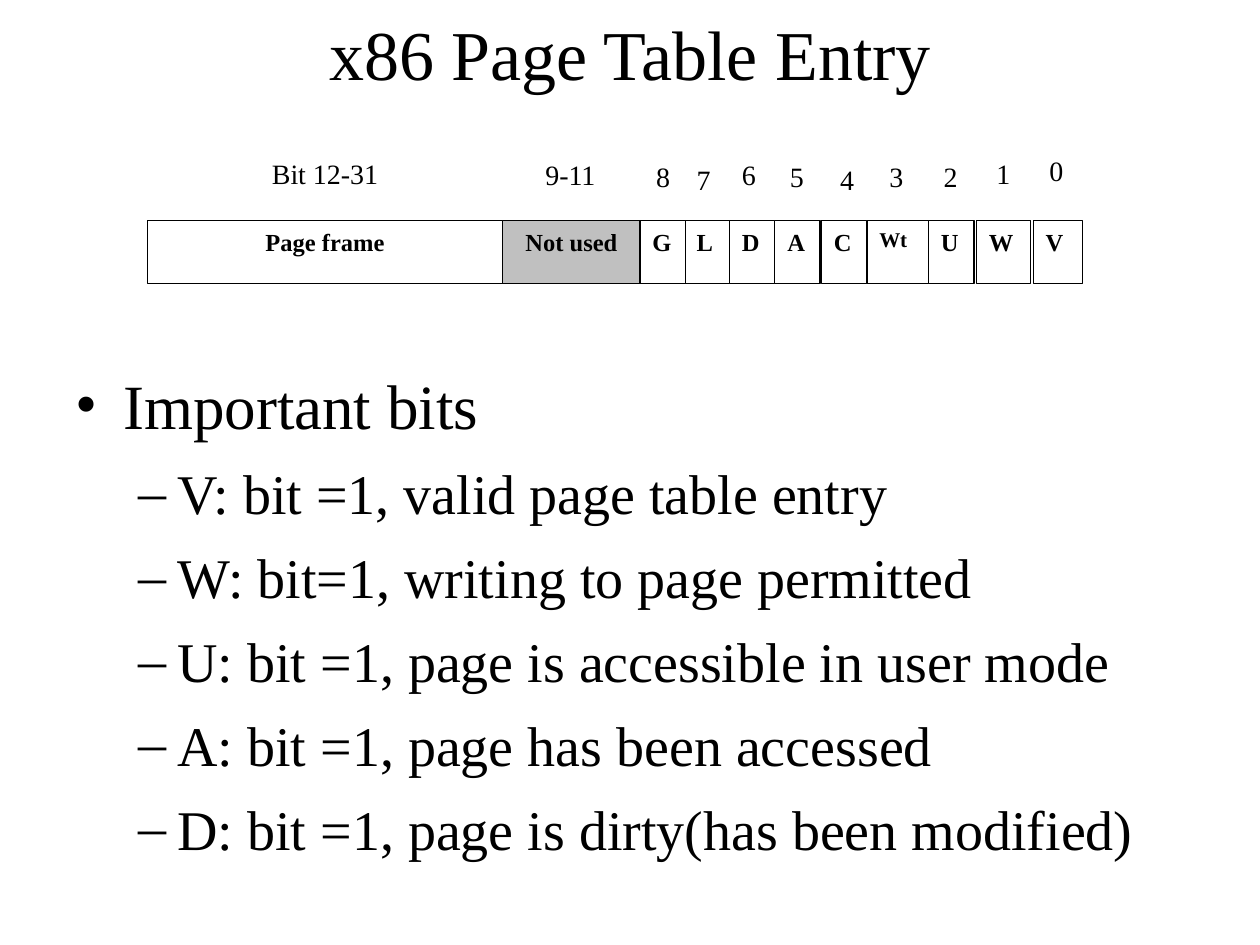
import pptx
import pptx.util
import pptx.dml.color
import pptx.enum.shapes
import pptx.enum.text
from lxml import etree

Inches, Pt = pptx.util.Inches, pptx.util.Pt
PP_ALIGN = pptx.enum.text.PP_ALIGN
MSO_ANCHOR = pptx.enum.text.MSO_ANCHOR
FONT = "Times New Roman"

prs = pptx.Presentation()
prs.slide_width, prs.slide_height = Inches(10), Inches(7.5)
s = prs.slides.add_slide(prs.slide_layouts[6])


def rgb(hex_color):
    return pptx.dml.color.RGBColor.from_string(hex_color)


def write(p, text, size, bold=False, align=PP_ALIGN.LEFT):
    """Add one black run to a paragraph and align it."""
    p.alignment = align
    r = p.add_run()
    r.text = text
    r.font.name, r.font.size, r.font.bold = FONT, Pt(size), bold
    r.font.color.rgb = rgb("000000")


# Title
sp = s.shapes.add_textbox(Inches(0.75), Inches(0.17), Inches(8.5), Inches(0.5))
tf = sp.text_frame
tf.word_wrap = True
tf.vertical_anchor = MSO_ANCHOR.MIDDLE
write(tf.paragraphs[0], "x86 Page Table Entry", 40, align=PP_ALIGN.CENTER)

# Bulleted list: text, size, left margin, hanging indent, bullet
bits = ["V: bit =1, valid page table entry",
        "W: bit=1, writing to page permitted",
        "U: bit =1, page is accessible in user mode",
        "A: bit =1, page has been accessed",
        "D: bit =1, page is dirty(has been modified)"]
items = [("Important bits", 36, 0.38, 0.38, "•")]
items += [(bit, 32, 0.81, 0.31, "–") for bit in bits]

sp = s.shapes.add_textbox(Inches(0.5), Inches(2.83), Inches(8.92), Inches(4.25))
tf = sp.text_frame
tf.word_wrap = True
tf.margin_top = Inches(0.08)
for i, (text, size, margin, hang, bullet) in enumerate(items):
    p = tf.add_paragraph() if i else tf.paragraphs[0]
    pPr = p._p.get_or_add_pPr()
    pPr.set("marL", str(Inches(margin)))
    pPr.set("indent", str(-Inches(hang)))
    pPr.set("lvl", str(min(i, 1)))
    etree.SubElement(pPr, pptx.oxml.ns.qn("a:buFont")).set("typeface", FONT)
    etree.SubElement(pPr, pptx.oxml.ns.qn("a:buChar")).set("char", bullet)
    if i:
        p.space_before = Pt(9.5)
    write(p, text, size)

# Fields of the entry: name, left, width, size
fields = [("Page frame", 1.17, 2.82, 14), ("Not used", 3.99, 1.09, 14),
          ("G", 5.08, 0.36, 14), ("L", 5.43, 0.36, 14),
          ("D", 5.79, 0.36, 14), ("A", 6.15, 0.36, 14),
          ("C", 6.52, 0.36, 14), ("Wt", 6.88, 0.49, 12),
          ("U", 7.37, 0.36, 14), ("W", 7.75, 0.43, 14),
          ("V", 8.2, 0.39, 14)]
for name, left, width, size in reversed(fields):
    sp = s.shapes.add_shape(pptx.enum.shapes.MSO_SHAPE.RECTANGLE, Inches(left),
                            Inches(1.75), Inches(width), Inches(0.5))
    sp.shadow.inherit = False
    sp.fill.solid()
    sp.fill.fore_color.rgb = rgb("C0C0C0" if name == "Not used" else "FFFFFF")
    sp.line.color.rgb = rgb("000000")
    sp.line.width = Pt(0.75)
    tf = sp.text_frame
    tf.word_wrap = width > 1
    tf.vertical_anchor = MSO_ANCHOR.TOP
    write(tf.paragraphs[0], name, size, bold=True,
          align=PP_ALIGN.CENTER if width > 1 else PP_ALIGN.LEFT)

# Bit numbers above the fields: text, left, top, width
numbers = [("Bit 12-31", 2.06, 1.19, 1.19), ("9-11", 4.23, 1.2, 0.7),
           ("8", 5.11, 1.22, 0.33), ("7", 5.43, 1.24, 0.33),
           ("6", 5.79, 1.2, 0.33), ("5", 6.17, 1.22, 0.33),
           ("4", 6.57, 1.24, 0.33), ("3", 6.96, 1.22, 0.33),
           ("2", 7.39, 1.22, 0.33), ("1", 7.81, 1.19, 0.33),
           ("0", 8.23, 1.17, 0.33)]
for text, left, top, width in numbers:
    sp = s.shapes.add_textbox(Inches(left), Inches(top), Inches(width), Inches(0.47))
    tf = sp.text_frame
    tf.word_wrap = width > 0.5
    write(tf.paragraphs[0], text, 16)

prs.save("out.pptx")
